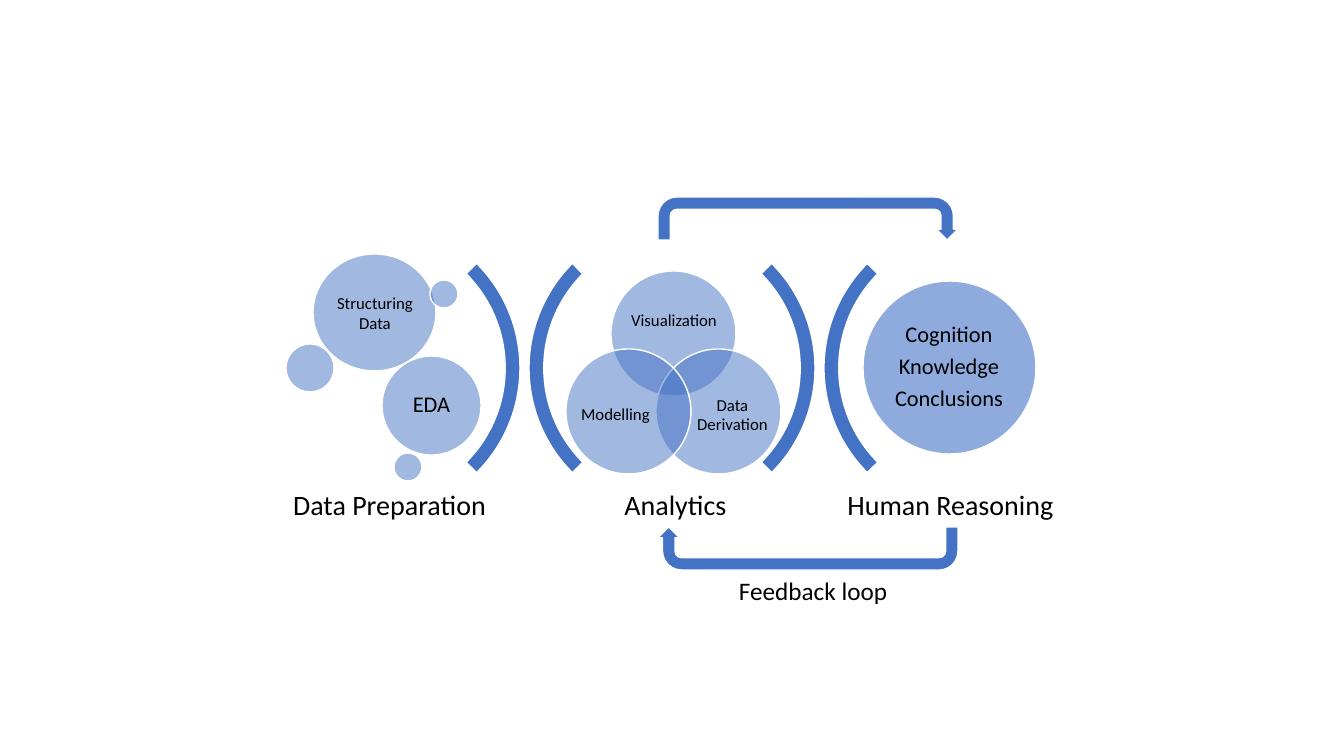
from lxml import etree
from pptx import Presentation
from pptx import util as u
from pptx.dml.color import RGBColor
from pptx.enum import shapes, text
from pptx.oxml.ns import qn

SCALE = 914400 / 100.8  # EMU per pixel
COLOURS = {"blue": "4472C4", "light": "8FAADC", "white": "FFFFFF", "black": "000000"}
SHAPE = shapes.MSO_SHAPE
LABEL_WIDTH = 225
ARC_SIZE = 296


def px(value):
    return u.Emu(round(value * SCALE))


def colour(name):
    return RGBColor.from_string(COLOURS[name])


def add_shape(page, kind, left, top, width, height, fill="blue", alpha=None,
              rotation=0, adjustments=()):
    shape = page.shapes.add_shape(kind, px(left), px(top), px(width), px(height))
    shape.shadow.inherit = False
    shape.rotation = rotation
    for index, value in enumerate(adjustments):
        shape.adjustments[index] = value
    shape.fill.solid()
    shape.fill.fore_color.rgb = colour(fill)
    if alpha:
        tint = shape.fill._xPr.find(qn("a:solidFill"))[0]
        etree.SubElement(tint, qn("a:alpha")).set("val", str(alpha * 1000))
    shape.line.color.rgb = colour("white")
    shape.line.width = u.Pt(1)
    return shape


def add_text(page, words, left, top, width, height, size=12, inset=(0, 0), spacing=0.9,
             after=0.35, align=text.PP_ALIGN.CENTER, anchor=text.MSO_ANCHOR.MIDDLE):
    box = page.shapes.add_textbox(px(left), px(top), px(width), px(height))
    frame = box.text_frame
    frame.word_wrap = True
    frame.vertical_anchor = anchor
    frame.margin_left = frame.margin_right = px(inset[0])
    frame.margin_top = frame.margin_bottom = px(inset[1])
    frame.text = words
    for para in frame.paragraphs:
        para.alignment = align
        para.line_spacing = spacing
        para.space_after = u.Pt(size * after)
        for span in para.runs:
            span.font.size = u.Pt(size)
            span.font.name = "Calibri"
            span.font.color.rgb = colour("black")


def add_label(page, words, left, top):
    add_text(page, words, left, top + 257, LABEL_WIDTH, 59, size=20, inset=(8, 8))


def add_divider(page, left, top):
    """A pair of arcs, back to back."""
    for offset, rotation in ((-243, 90), (62, 270)):
        add_shape(page, SHAPE.BLOCK_ARC, left + offset, top, ARC_SIZE, ARC_SIZE,
                  rotation=rotation, adjustments=(135, 189, 0.05))


def add_preparation(page, left, top):
    bubbles = [(34, 34, 123, 117), (7, 124, 48, 48), (151, 60, 28, 28),
               (103, 136, 99, 99), (115, 233, 28, 28)]
    for x, y, width, height in bubbles:
        add_shape(page, SHAPE.OVAL, left + x, top + y, width, height, alpha=50)
    add_text(page, "Structuring Data", left + 53, top + 51, 86, 83,
             inset=(5, 5), spacing=1.0)
    add_text(page, "EDA", left + 117, top + 150, 71, 71, size=16, inset=(7, 7))
    add_label(page, "Data Preparation", left - 2, top)


def add_analytics(page, left, top):
    # Circle corner, then text box
    circles = [("Visualization", 48, 51, (65, 73, 92, 56)),
               ("Data Derivation", 93, 129, (132, 161, 75, 69)),
               ("Modelling", 3, 129, (15, 161, 75, 69))]
    for words, x, y, (text_x, text_y, width, height) in circles:
        add_shape(page, SHAPE.OVAL, left + x, top + y, 125, 125, alpha=50)
        add_text(page, words, left + text_x, top + text_y, width, height)
    add_label(page, "Analytics", left, top)


def add_reasoning(page, left, top):
    add_shape(page, SHAPE.OVAL, left + 25, top + 61, 173, 173, fill="light")
    add_text(page, "Cognition\nKnowledge\nConclusions", left + 50, top + 86, 122, 122,
             size=16, inset=(7, 7))
    add_label(page, "Human Reasoning", left, top)


def add_feedback(page, left, top):
    for offset, rotation in ((0, 0), (330, 180)):
        add_shape(page, SHAPE.U_TURN_ARROW, left, top + offset, 300, 43, rotation=rotation,
                  adjustments=(0.288, 0.25, 0.25, 0.438, 1))
    add_text(page, "Feedback loop", left + 71, top + 373, 222, 40, size=18, inset=(10, 5),
             spacing=1.0, after=0, align=text.PP_ALIGN.LEFT, anchor=text.MSO_ANCHOR.TOP)


deck = Presentation()
deck.slide_width, deck.slide_height = px(1344), px(756)
page = deck.slides.add_slide(deck.slide_layouts[6])

STAGE_TOP = 220
for divider_left in (467, 762):
    add_divider(page, divider_left, STAGE_TOP)
add_preparation(page, 279, STAGE_TOP)
add_analytics(page, 563, STAGE_TOP)
add_reasoning(page, 838, STAGE_TOP)
add_feedback(page, 658, 197)

deck.save("out.pptx")
